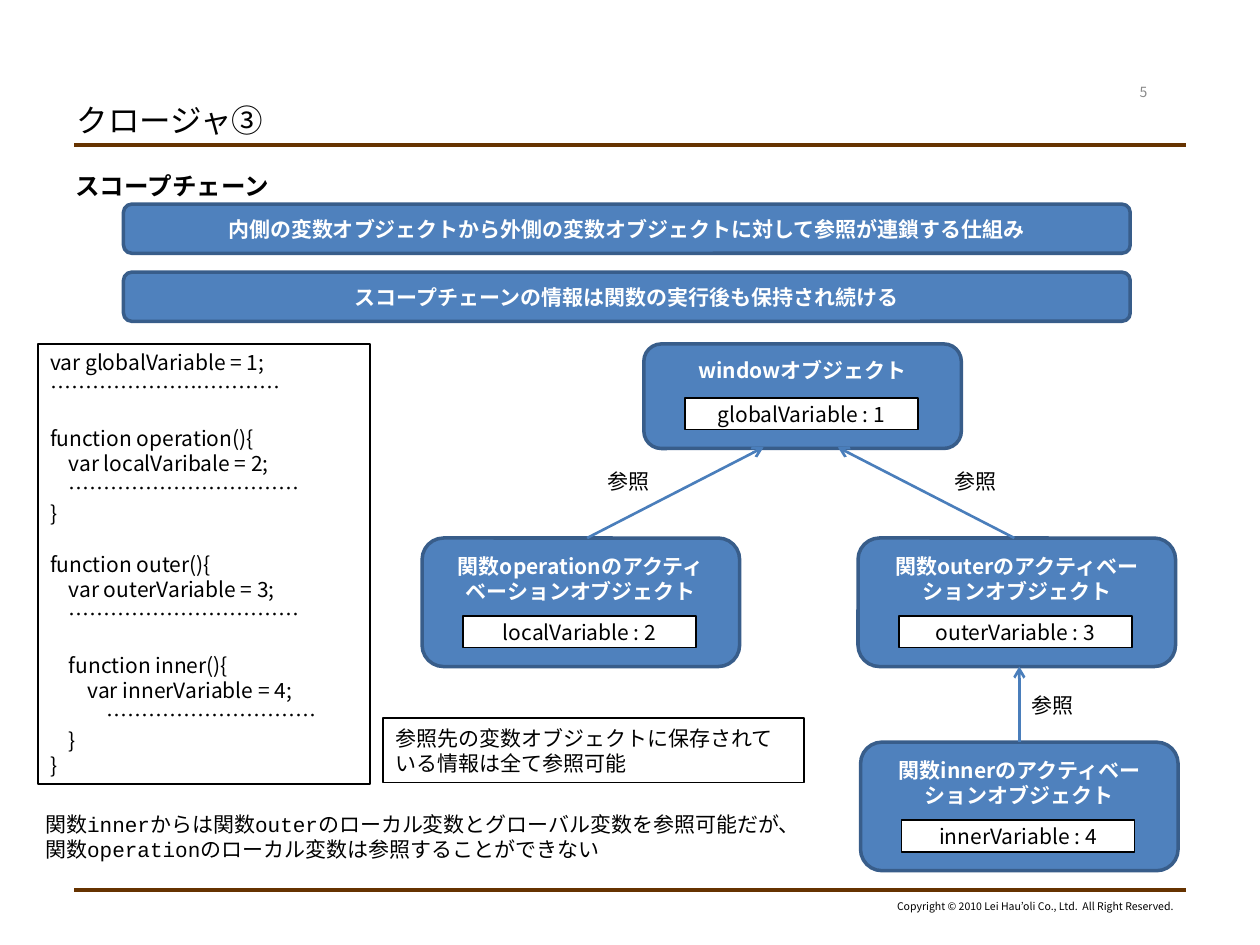
from lxml import etree
from pptx import Presentation, util as u
from pptx.dml.color import RGBColor
from pptx.enum import shapes, text
from pptx.oxml.ns import qn

SANS, MONO = "Noto Sans CJK JP", "Courier New"
BLACK = RGBColor(0, 0, 0)
WHITE = RGBColor(255, 255, 255)
GRAY = RGBColor(0x89, 0x89, 0x89)
BROWN = RGBColor(0x66, 0x33, 0x00)
BLUE = RGBColor(0x4F, 0x81, 0xBD)
DARK_BLUE = RGBColor(0x38, 0x5D, 0x8A)
ARROW_BLUE = RGBColor(0x4A, 0x7E, 0xBB)
LEFT, CENTER, RIGHT = text.PP_ALIGN.LEFT, text.PP_ALIGN.CENTER, text.PP_ALIGN.RIGHT
TOP, MIDDLE = text.MSO_ANCHOR.TOP, text.MSO_ANCHOR.MIDDLE
RECTANGLE = shapes.MSO_SHAPE.RECTANGLE
ROUNDED = shapes.MSO_SHAPE.ROUNDED_RECTANGLE

# Content
TITLE = "クロージャ③"
HEADING = "スコープチェーン"
COPYRIGHT = "Copyright © 2010 Lei Hau’oli Co., Ltd.  All Right Reserved."
BANNERS = [
    "内側の変数オブジェクトから外側の変数オブジェクトに対して参照が連鎖する仕組み",
    "スコープチェーンの情報は関数の実行後も保持され続ける",
]
CODE = """var globalVariable = 1;
……………………………

function operation(){
    var localVaribale = 2;
    ……………………………
}

function outer(){
    var outerVariable = 3;
    ……………………………

    function inner(){
        var innerVariable = 4;
            …………………………
    }
}"""
NOTE = "参照先の変数オブジェクトに保存されている情報は全て参照可能"
SUMMARY = [
    "関数innerからは関数outerのローカル変数とグローバル変数を参照可能だが、",
    "関数operationのローカル変数は参照することができない",
]
# Scope objects: caption, variable, left, top, height
SCOPES = [
    ("windowオブジェクト", "globalVariable : 1", 5.11, 2.73, 0.83),
    ("関数operationのアクティベーションオブジェクト", "localVariable : 2", 3.35, 4.27, 1.02),
    ("関数outerのアクティベーションオブジェクト", "outerVariable : 3", 6.81, 4.27, 1.02),
    ("関数innerのアクティベーションオブジェクト", "innerVariable : 4", 6.83, 5.89, 1.02),
]
# References: arrow start, arrow end, label position
REFERENCES = [
    ((8.09, 5.89), (8.09, 5.29), (8.09, 5.45)),
    ((8.05, 4.27), (6.65, 3.55), (7.48, 3.67)),
    ((4.66, 4.27), (6.06, 3.55), (4.72, 3.67)),
]
SCOPE_WIDTH, VARIABLE_WIDTH, VARIABLE_HEIGHT = 2.52, 1.85, 0.25
LINE_HEIGHT = 14.4

presentation = Presentation()
presentation.slide_width, presentation.slide_height = u.Inches(10), u.Inches(7.5)
slide = presentation.slides.add_slide(presentation.slide_layouts[6])


def write(shape, lines, size=12, color=BLACK, bold=False, font=SANS,
          align=LEFT, anchor=MIDDLE, wrap=True):
    """Fill a shape with paragraphs; an empty line becomes space before the next."""
    frame = shape.text_frame
    frame.word_wrap, frame.vertical_anchor = wrap, anchor
    gap, paragraph = 0, None
    for line in lines:
        if not line:
            gap += LINE_HEIGHT
            continue
        paragraph = frame.add_paragraph() if paragraph else frame.paragraphs[0]
        paragraph.text, paragraph.alignment = line, align
        if gap:
            paragraph.space_before = u.Pt(gap)
            gap = 0
        style = paragraph.font
        style.size, style.bold, style.name = u.Pt(size), bold, font
        style.color.rgb = color
        defaults = paragraph._p.pPr.find(qn("a:defRPr"))
        etree.SubElement(defaults, qn("a:ea"), typeface=SANS)


def add_text(box, lines, **style):
    write(slide.shapes.add_textbox(*map(u.Inches, box)), lines, **style)


def add_box(kind, box, lines, fill, line, width, **style):
    shape = slide.shapes.add_shape(kind, *map(u.Inches, box))
    shape.shadow.inherit = False
    if fill is None:
        shape.fill.background()
    else:
        shape.fill.solid()
        shape.fill.fore_color.rgb = fill
    shape.line.color.rgb, shape.line.width = line, u.Pt(width)
    write(shape, lines, **style)
    return shape


def add_blue_box(box, caption, **style):
    return add_box(ROUNDED, box, [caption], BLUE, DARK_BLUE, 2,
                   color=WHITE, bold=True, align=CENTER, **style)


def add_line(start, end, color, width, arrow=False):
    line = slide.shapes.add_connector(
        shapes.MSO_CONNECTOR.STRAIGHT, *map(u.Inches, start + end))
    line.line.color.rgb, line.line.width = color, u.Pt(width)
    if arrow:
        etree.SubElement(line.line._get_or_add_ln(), qn("a:tailEnd"), type="arrow")
    etree.SubElement(line._element.spPr, qn("a:effectLst"))


# Frame: rules, title, page number, copyright
for y in (1.15, 7.06):
    add_line((0.59, y), (9.41, y), BROWN, 2.25)
add_text((6.99, 7.09, 2.42, 0.2), [COPYRIGHT], size=6, align=RIGHT, anchor=TOP, wrap=False)
add_text((0.51, 0.76, 5.68, 0.39), [TITLE], size=18)
add_text((8.78, 0.61, 0.59, 0.24), ["5"], size=8, color=GRAY, align=CENTER)
add_text((0.5, 1.31, 9, 0.35), [HEADING], size=14, bold=True, anchor=TOP)

# Banners
for index, banner in enumerate(BANNERS):
    add_blue_box((0.98, 1.62 + 0.54 * index, 7.99, 0.39), banner)

# Code listing and note
add_box(RECTANGLE, (0.3, 2.73, 2.64, 3.49), CODE.split("\n"), None, BLACK, 1)
add_box(RECTANGLE, (3.04, 5.7, 3.34, 0.51), [NOTE], None, BLACK, 1)

# Scope objects, each with its variable near the bottom edge
for caption, variable, left, top, height in SCOPES:
    scope = add_blue_box((left, top, SCOPE_WIDTH, height), caption, anchor=TOP)
    scope.text_frame.margin_top = u.Inches(0.07)
    variable_left = left + (SCOPE_WIDTH - VARIABLE_WIDTH) / 2 - 0.01
    variable_top = top + height - VARIABLE_HEIGHT - 0.15
    add_box(RECTANGLE, (variable_left, variable_top, VARIABLE_WIDTH, VARIABLE_HEIGHT),
            [variable], WHITE, BLACK, 1, align=CENTER)

# Reference arrows
for start, end, label in REFERENCES:
    add_line(start, end, ARROW_BLUE, 1.5, arrow=True)
    add_text(label + (0.53, 0.3), ["参照"], font=MONO, anchor=TOP, wrap=False)

# Summary
add_text((0.26, 6.39, 6.36, 0.5), SUMMARY, font=MONO, anchor=TOP, wrap=False)

presentation.save("out.pptx")
